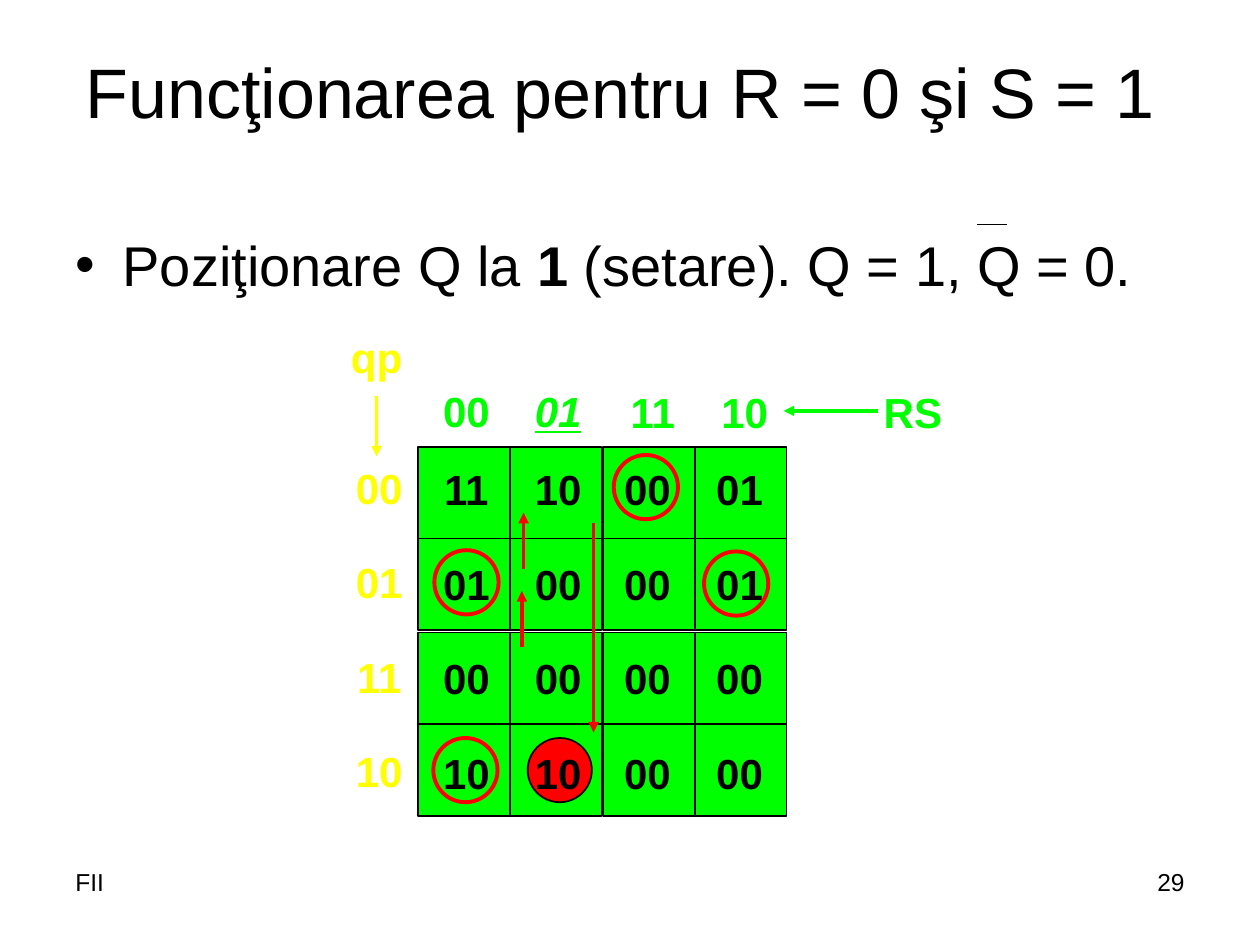
from lxml.etree import SubElement
from pptx import Presentation
from pptx.dml.color import RGBColor
from pptx.enum.shapes import MSO_CONNECTOR, MSO_SHAPE
from pptx.enum.text import MSO_ANCHOR, PP_ALIGN
from pptx.oxml.ns import qn
from pptx.util import Pt

BLACK, RED, GREEN, YELLOW = "000000", "FF0000", "00FF00", "FFFF00"
LEFT, CENTER, RIGHT = PP_ALIGN.LEFT, PP_ALIGN.CENTER, PP_ALIGN.RIGHT

# Content
TITLE = "Funcţionarea pentru R = 0 şi S = 1 "
BULLET = [("Poziţionare Q la ", False), ("1", True), (" (setare). Q = 1, Q = 0.", False)]
RS_CODES = ["00", "01", "11", "10"]
QP_CODES = ["00", "01", "11", "10"]
ACTIVE_RS = "01"
NEXT_STATES = [
    ["11", "10", "00", "01"],
    ["01", "00", "00", "01"],
    ["00", "00", "00", "00"],
    ["10", "10", "00", "00"],
]

# Layout, in points
BLOCK_LEFTS, BLOCK_TOPS, BLOCK_SIZE = (239, 344.6), (255.4, 361.4), 104.8
CELL_LEFTS, CELL_TOP, ROW_STEP = (243.5, 296, 347, 399.6), 261.4, 54
HEADER_LEFTS, HEADER_TOPS = (243.5, 296, 350, 402.5), (216.7, 216.7, 217.4, 217.4)
LABEL_WIDTH, LABEL_HEIGHT = 46, 36
CIRCLE_SIZE = 36.7
STABLE_CIRCLES = [(248.2, 314.4), (402.3, 315.1), (247.6, 421.7), (350.7, 260)]
FINAL_CIRCLE = (301.5, 421.7)
ARROWS = [  # from x, from y, to x, to y, colour
    (215.2, 226.1, 215.2, 260.8, YELLOW),
    (501.8, 234.8, 447.8, 234.8, GREEN),
    (298.2, 370, 298.2, 337.8, RED),
    (299.2, 325.4, 299.2, 293, RED),
    (339.2, 298.8, 339.2, 418.6, RED),
]

presentation = Presentation()
presentation.slide_width, presentation.slide_height = Pt(720), Pt(540)
slide = presentation.slides.add_slide(presentation.slide_layouts[6])


def color(value):
    return RGBColor.from_string(value)


def add_text(left, top, width, height, runs, size, fill=BLACK, align=CENTER,
             anchor=MSO_ANCHOR.TOP):
    """Runs are (text, bold) pairs; returns the paragraph."""
    frame = slide.shapes.add_textbox(Pt(left), Pt(top), Pt(width), Pt(height)).text_frame
    frame.word_wrap = True
    frame.vertical_anchor = anchor
    paragraph = frame.paragraphs[0]
    paragraph.alignment = align
    for text, bold in runs:
        run = paragraph.add_run()
        run.text = text
        run.font.name, run.font.size, run.font.bold = "Arial", Pt(size), bold
        run.font.color.rgb = color(fill)
    return paragraph


def add_label(left, top, text, fill=BLACK, width=LABEL_WIDTH):
    return add_text(left, top, width, LABEL_HEIGHT, [(text, True)], 24, fill)


def add_outlined(kind, left, top, size, fill, line, weight):
    shape = slide.shapes.add_shape(kind, Pt(left), Pt(top), Pt(size), Pt(size))
    shape.shadow.inherit = False
    if fill:
        shape.fill.solid()
        shape.fill.fore_color.rgb = color(fill)
    else:
        shape.fill.background()
    shape.line.color.rgb = color(line)
    shape.line.width = Pt(weight)
    return shape


def add_line(x1, y1, x2, y2, line, weight, arrow=False):
    connector = slide.shapes.add_connector(
        MSO_CONNECTOR.STRAIGHT, Pt(x1), Pt(y1), Pt(x2), Pt(y2))
    connector.line.color.rgb = color(line)
    connector.line.width = Pt(weight)
    if arrow:
        SubElement(connector.line._get_or_add_ln(), qn("a:tailEnd"), type="triangle")
    SubElement(connector._element.spPr, qn("a:effectLst"))
    return connector


# Title and bullet
add_text(36, 15, 648, 73.5, [(TITLE, False)], 40, anchor=MSO_ANCHOR.MIDDLE)
bullet = add_text(36, 128, 648, 60, BULLET, 32, align=LEFT)
properties = bullet._p.get_or_add_pPr()
properties.set("marL", str(Pt(27)))
properties.set("indent", str(-Pt(27)))
SubElement(properties, qn("a:buFont"), typeface="Arial")
SubElement(properties, qn("a:buChar"), char="•")

# Map: four blocks, each split in four cells
for top in reversed(BLOCK_TOPS):
    for left in BLOCK_LEFTS:
        block = add_outlined(MSO_SHAPE.RECTANGLE, left, top, BLOCK_SIZE, GREEN, BLACK, 1)
        for begin_side, end_side in ((0, 2), (1, 3)):
            divider = add_line(left, top, left, top, BLACK, 1)
            divider.begin_connect(block, begin_side)
            divider.end_connect(block, end_side)

# Stable states and the final state
for left, top in STABLE_CIRCLES:
    add_outlined(MSO_SHAPE.OVAL, left, top, CIRCLE_SIZE, None, RED, 2.25)
add_outlined(MSO_SHAPE.OVAL, *FINAL_CIRCLE, CIRCLE_SIZE, RED, BLACK, 1)

# Cell values and row codes
for row, (code, states) in enumerate(zip(QP_CODES, NEXT_STATES)):
    top = CELL_TOP + row * ROW_STEP
    add_label(193.7, top - 0.8, code, YELLOW)
    for left, state in zip(CELL_LEFTS, states):
        add_label(left, top, state)

# Column codes and axis names
for left, top, code in zip(HEADER_LEFTS, HEADER_TOPS, RS_CODES):
    header = add_label(left, top, code, GREEN)
    if code == ACTIVE_RS:
        header.runs[0].font.italic = header.runs[0].font.underline = True
add_label(192.2, 186, "qp", YELLOW)
add_label(478.8, 217.4, "RS", GREEN, width=85.7)

# Transition arrows and the bar over Q
for x1, y1, x2, y2, line in ARROWS:
    add_line(x1, y1, x2, y2, line, 2, arrow=True)
add_line(558.5, 128.2, 575.5, 128.2, BLACK, 0.75)

# Footer
add_text(516, 492, 168, 37.5, [("29", False)], 14, align=RIGHT)
add_text(36, 492, 168, 37.5, [("FII", False)], 14, align=LEFT)

presentation.save("out.pptx")
